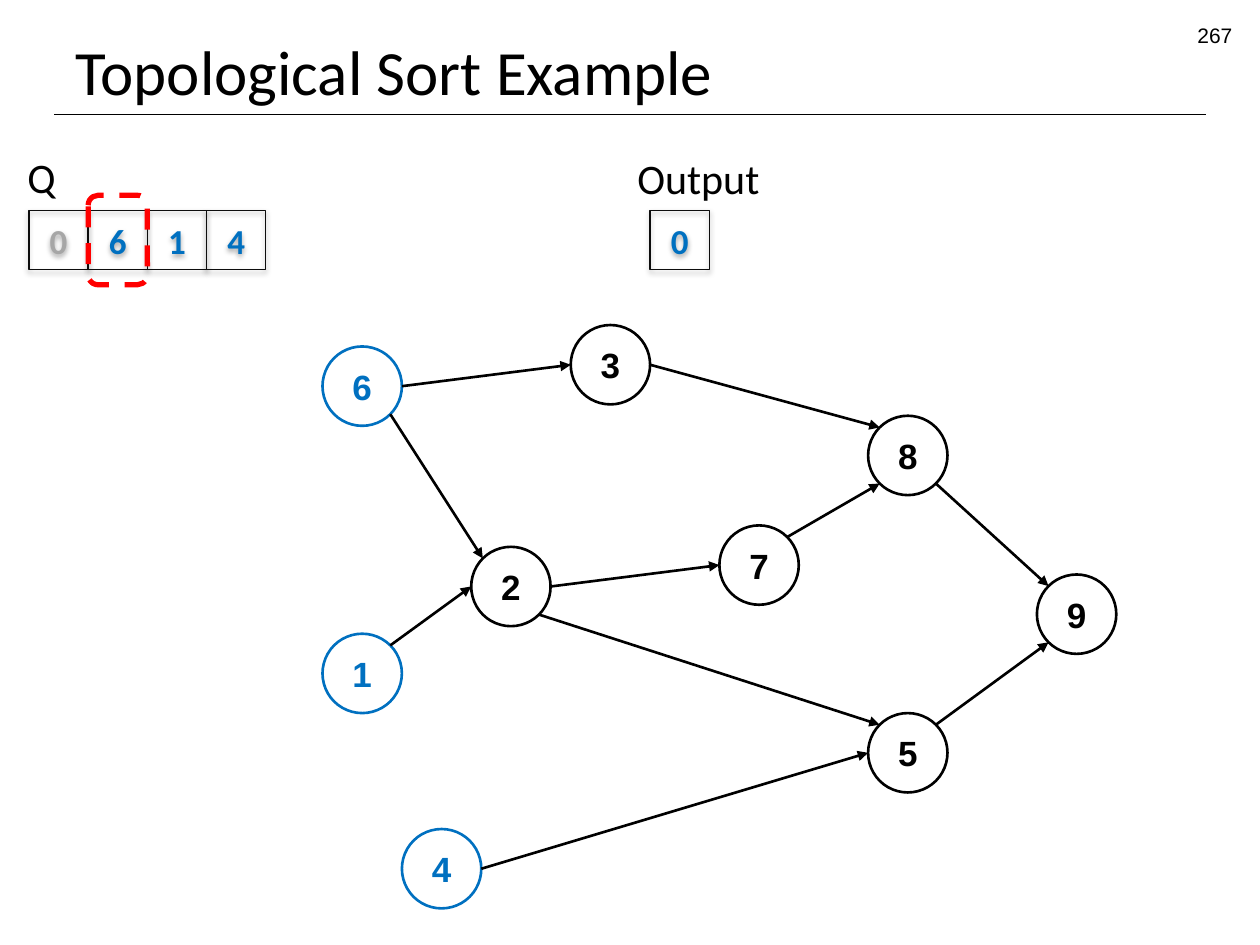
"""Build the topological sort example slide: queue, output and graph."""
from math import cos, pi, sin

from lxml.etree import SubElement
from pptx import Presentation
from pptx.dml.color import RGBColor
from pptx.enum.dml import MSO_LINE
from pptx.enum.shapes import MSO_CONNECTOR, MSO_SHAPE
from pptx.enum.text import MSO_ANCHOR, MSO_AUTO_SIZE, PP_ALIGN
from pptx.oxml.ns import qn
from pptx.util import Inches, Pt

TITLE = "Topological Sort Example"
PAGE_NUMBER = "267"
LABELS = [("Q", (0.12, 1.15, 0.43, 0.5)), ("Output", (4.96, 1.16, 1.18, 0.5))]
QUEUE = ["0", "6", "1", "4"]
OUTPUT = ["0"]
DEQUEUED, READY = {"0"}, {"6", "1", "4"}
NODES = {
    "9": (8.23, 4.56), "8": (6.89, 3.3), "5": (6.89, 5.66),
    "7": (5.71, 4.17), "3": (4.53, 2.58), "2": (3.74, 4.34),
    "6": (2.56, 2.75), "1": (2.56, 5.03), "4": (3.19, 6.58),
}
EDGES = [
    ("1", "top right", "2", "left"), ("6", "right", "3", "left"),
    ("6", "bottom right", "2", "top left"), ("2", "right", "7", "left"),
    ("3", "right", "8", "top left"), ("8", "bottom right", "9", "top left"),
    ("7", "top right", "8", "bottom left"), ("2", "bottom right", "5", "top left"),
    ("4", "right", "5", "left"), ("5", "top right", "9", "bottom left"),
]
SITE_ANGLES = {"right": 0, "bottom right": 45, "bottom left": 135,
               "left": 180, "top left": 225, "top right": 315}
QUEUE_LEFT, OUTPUT_LEFT, CELL_TOP, CELL = 0.23, 5.16, 1.67, 0.47
NODE = 0.63
HIGHLIGHTED, HIGHLIGHT_OVERHANG = 1, 0.12

THEME = {
    "ink": "000000", "cell line": "0D0D0D", "ready": "0070C0",
    "dequeued": "A6A6A6", "highlight": "FF0000",
    "heading font": "Calibri", "node font": "Arial",
    "title size": 36, "label size": 24, "value size": 20, "number size": 12,
    "thin": 0.75, "medium": 1.5, "thick": 3,
}


def color(name):
    return RGBColor.from_string(THEME[name])


def write(shape, text, font, size, ink="ink", bold=False, align=PP_ALIGN.LEFT, **frame_format):
    frame = shape.text_frame
    frame.text = text
    for name, value in frame_format.items():
        setattr(frame, name, value)
    paragraph = frame.paragraphs[0]
    paragraph.alignment = align
    run_font = paragraph.runs[0].font
    for name, value in {"name": THEME[font], "size": Pt(THEME[size]), "bold": bold}.items():
        setattr(run_font, name, value)
    run_font.color.rgb = color(ink)


def add_outline(slide, kind, box, line, width):
    shape = slide.shapes.add_shape(kind, *map(Inches, box))
    shape.fill.background()
    shape.line.color.rgb = color(line)
    shape.line.width = Pt(THEME[width])
    shape.shadow.inherit = False
    return shape


def write_value(shape, text, font, ink):
    write(shape, text, font, "value size", ink, True, PP_ALIGN.CENTER,
          word_wrap=False, vertical_anchor=MSO_ANCHOR.MIDDLE)


def add_cells(slide, values, left, inks):
    for index, value in enumerate(values):
        box = (left + index * CELL, CELL_TOP, CELL, CELL)
        cell = add_outline(slide, MSO_SHAPE.RECTANGLE, box, "cell line", "thin")
        write_value(cell, value, "heading font", inks[index])
        effects = cell._element.spPr.find(qn("a:effectLst"))
        shadow = SubElement(effects, qn("a:outerShdw"), blurRad=str(Pt(3.1)),
                            dist=str(Pt(1.8)), dir="5400000", rotWithShape="0")
        shade = SubElement(shadow, qn("a:srgbClr"), val=THEME["ink"])
        SubElement(shade, qn("a:alpha"), val="35000")


def add_line(slide, start, end, width, arrow=False):
    line = slide.shapes.add_connector(MSO_CONNECTOR.STRAIGHT, *map(Inches, start + end))
    line.line.color.rgb = color("ink")
    line.line.width = Pt(THEME[width])
    if arrow:
        SubElement(line.line._get_or_add_ln(), qn("a:tailEnd"), type="triangle")
    SubElement(line._element.spPr, qn("a:effectLst"))


def site(node, side):
    left, top = NODES[node]
    angle = SITE_ANGLES[side] * pi / 180
    return left + NODE / 2 * (1 + cos(angle)), top + NODE / 2 * (1 + sin(angle))


def add_graph(slide):
    for value, position in NODES.items():
        ink = "ready" if value in READY else "ink"
        node = add_outline(slide, MSO_SHAPE.OVAL, position + (NODE, NODE), ink, "medium")
        write_value(node, value, "node font", ink)
    for source, source_side, target, target_side in EDGES:
        add_line(slide, site(source, source_side), site(target, target_side), "medium", True)


def add_headings(slide):
    title = slide.shapes.title
    box = {"left": 0.5, "top": 0.13, "width": 9, "height": 0.78}
    for name, value in box.items():
        setattr(title, name, Inches(value))
    write(title, TITLE, "heading font", "title size", vertical_anchor=MSO_ANCHOR.BOTTOM)
    add_line(slide, (0.43, 0.91), (9.57, 0.91), "thin")
    number = slide.shapes.add_textbox(*map(Inches, (7.55, 0.13, 2.33, 0.28)))
    write(number, PAGE_NUMBER, "node font", "number size", align=PP_ALIGN.RIGHT, word_wrap=True)
    for text, position in LABELS:
        label = slide.shapes.add_textbox(*map(Inches, position))
        write(label, text, "heading font", "label size", word_wrap=False,
              auto_size=MSO_AUTO_SIZE.SHAPE_TO_FIT_TEXT)


def main():
    presentation = Presentation()
    presentation.slide_width, presentation.slide_height = Inches(10), Inches(7.5)
    slide = presentation.slides.add_slide(presentation.slide_layouts[5])
    add_headings(slide)
    add_graph(slide)
    queue_inks = ["dequeued" if value in DEQUEUED else "ready" for value in QUEUE]
    add_cells(slide, OUTPUT, OUTPUT_LEFT, ["ready"] * len(OUTPUT))
    add_cells(slide, QUEUE, QUEUE_LEFT, queue_inks)
    box = (QUEUE_LEFT + HIGHLIGHTED * CELL, CELL_TOP - HIGHLIGHT_OVERHANG,
           CELL, CELL + 2 * HIGHLIGHT_OVERHANG)
    highlight = add_outline(slide, MSO_SHAPE.ROUNDED_RECTANGLE, box, "highlight", "thick")
    highlight.line.dash_style = MSO_LINE.DASH
    presentation.save("out.pptx")


if __name__ == "__main__":
    main()
